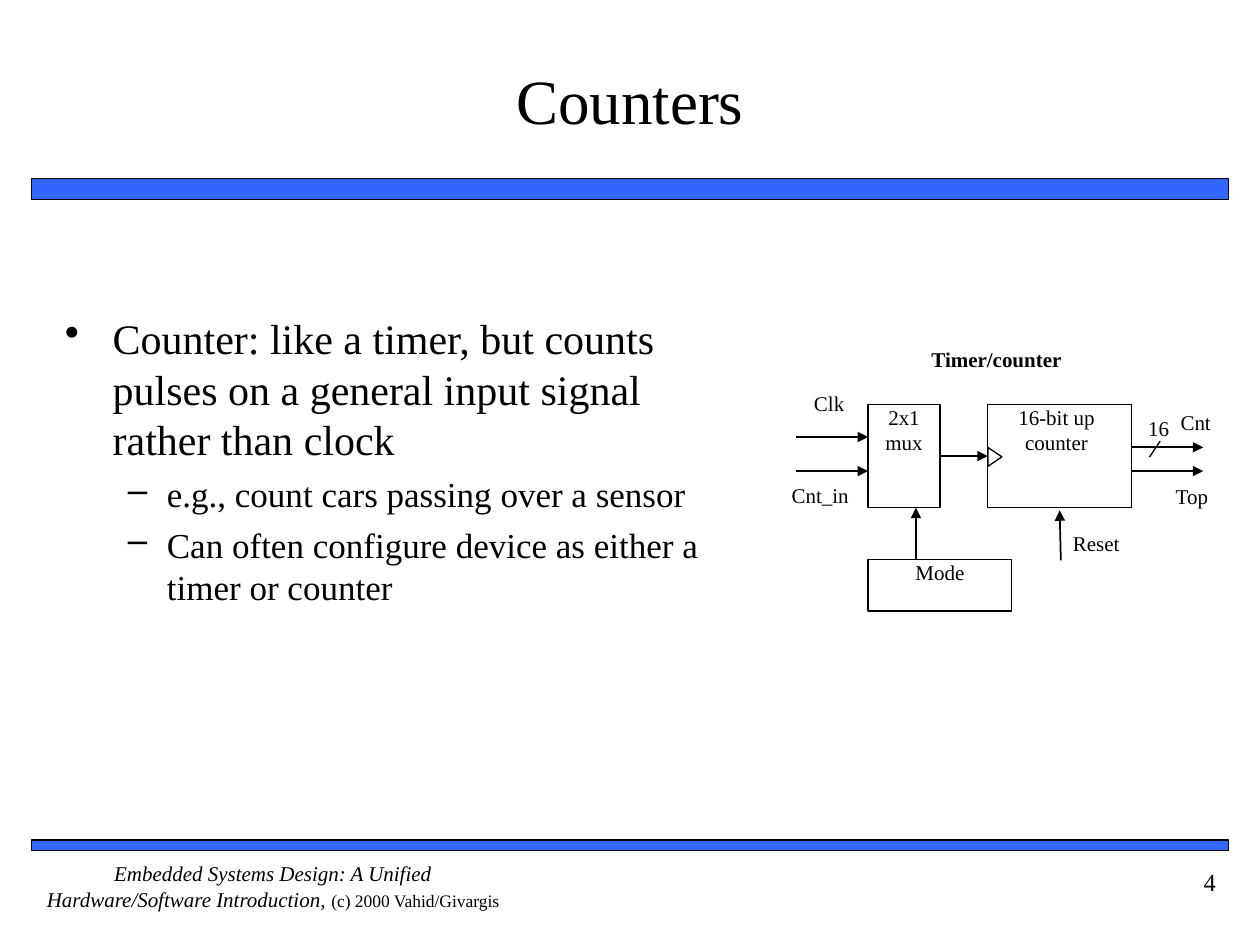
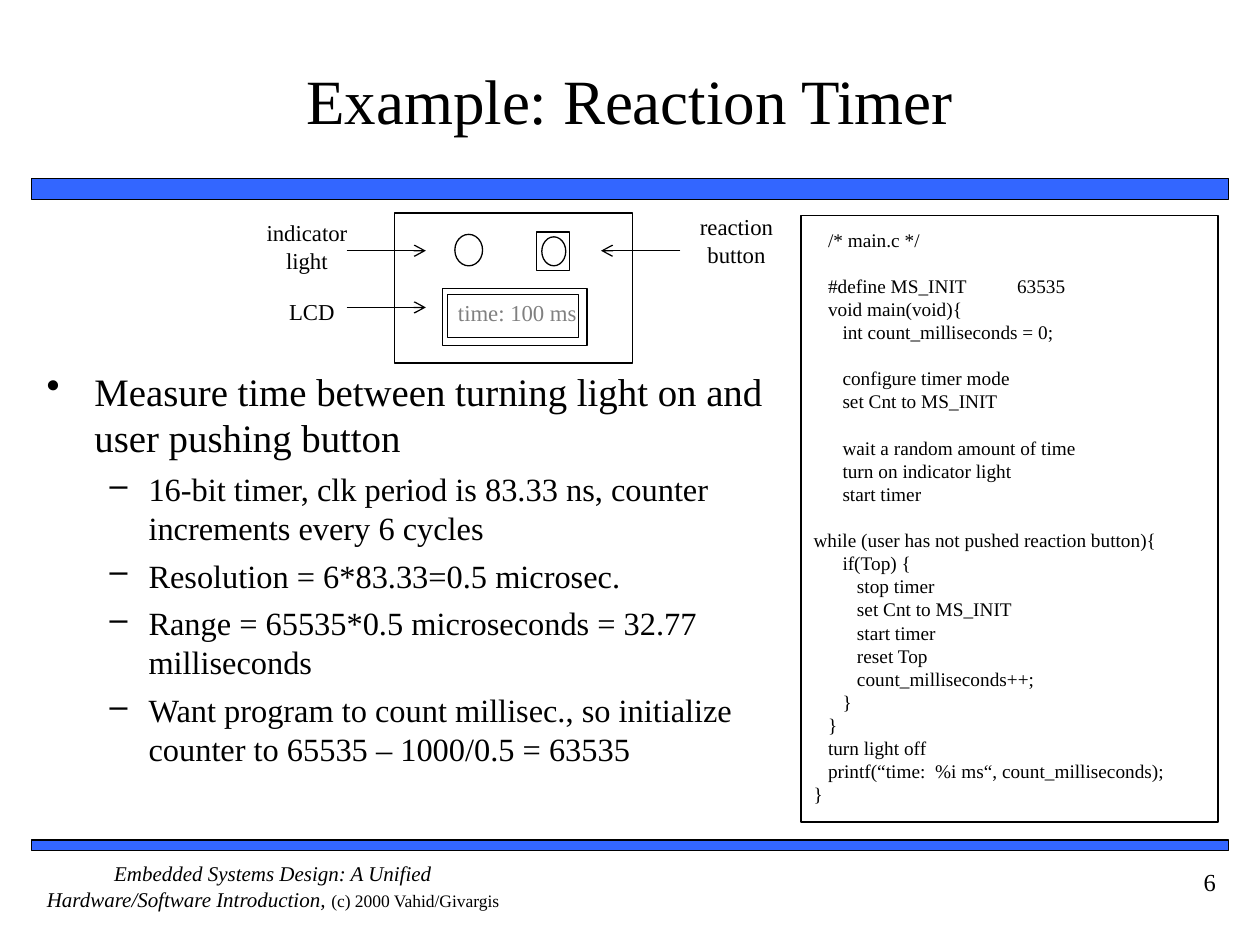
from dataclasses import dataclass

from lxml.etree import SubElement
from pptx import Presentation
from pptx.dml.color import RGBColor
from pptx.enum.shapes import MSO_CONNECTOR, MSO_SHAPE
from pptx.enum.text import MSO_ANCHOR, MSO_AUTO_SIZE, PP_ALIGN
from pptx.oxml.ns import qn
from pptx.util import Inches, Pt


@dataclass(frozen=True)
class Theme:
    font: str = "Times New Roman"
    ink: RGBColor = RGBColor(0, 0, 0)
    band: RGBColor = RGBColor(0x33, 0x66, 0xFF)
    display: RGBColor = RGBColor(0x80, 0x80, 0x80)
    title: float = 36
    number: float = 14
    label: float = 12
    device: float = 13
    credit: float = 10
    code: float = 11
    code_line: float = 13.2
    thin: float = 0.74
    line: float = 0.99


@dataclass(frozen=True)
class Grid:
    left: float
    top: float
    column: float
    row: float

    def point(self, x, y):
        return Inches(self.left + x * self.column), Inches(self.top + y * self.row)

    def area(self, x, y, columns, rows):
        return *self.point(x, y), Inches(columns * self.column), Inches(rows * self.row)


THEME = Theme()
PAGE = Grid(0, 0, 1 / 12, 1 / 12)
COUNTER = Grid(6.32, 3.21, 0.19, 0.41)
DEVICE = Grid(3.13, 1.69, 0.1, 0.1)

CODE = [
    (1, 0, "/* main.c */"),
    (1, 1, "#define MS_INIT\t63535"),
    (1, 0, "void main(void){"),
    (2, 0, "int count_milliseconds = 0;"),
    (2, 1, "configure timer mode"),
    (2, 0, "set Cnt to MS_INIT"),
    (2, 1, "wait a random amount of time"),
    (2, 0, "turn on indicator light"),
    (2, 0, "start timer"),
    (0, 1, "while (user has not pushed reaction button){"),
    (2, 0, "if(Top) {"),
    (3, 0, "stop timer"),
    (3, 0, "set Cnt to MS_INIT"),
    (3, 0, "start timer"),
    (3, 0, "reset Top"),
    (3, 0, "count_milliseconds++;"),
    (2, 0, "}"),
    (1, 0, "}"),
    (1, 0, "turn light off"),
    (1, 0, "printf(“time:  %i ms“, count_milliseconds);"),
    (0, 0, "}"),
]


def style(paragraph, size, color=THEME.ink, align=PP_ALIGN.LEFT, bold=False):
    font = paragraph.font
    font.name, font.size, font.bold = THEME.font, Pt(size), bold
    font.color.rgb = color
    paragraph.alignment = align


def prepare(frame, margins=(0, 0, 0, 0), anchor=MSO_ANCHOR.TOP):
    frame.word_wrap = True
    frame.auto_size = MSO_AUTO_SIZE.NONE
    frame.vertical_anchor = anchor
    (frame.margin_left, frame.margin_top,
     frame.margin_right, frame.margin_bottom) = map(Inches, margins)
    return frame.paragraphs[0]


def indent(paragraph, margin, first=0):
    properties = paragraph._p.get_or_add_pPr()
    properties.set("marL", str(Inches(margin)))
    properties.set("indent", str(Inches(first)))
    return properties


def add_label(shapes, area, text, size, color=THEME.ink, align=PP_ALIGN.CENTER,
              bold=False, margins=(0, 0, 0, 0)):
    box = shapes.add_textbox(*area)
    para = prepare(box.text_frame, margins)
    para.text = text
    style(para, size, color, align, bold)


def add_outline(shapes, kind, area, text="", fill=None, weight=THEME.thin,
                margins=(0, 0, 0, 0)):
    shape = shapes.add_shape(kind, *area)
    shape.shadow.inherit = False
    if fill is None:
        shape.fill.background()
    else:
        shape.fill.solid()
        shape.fill.fore_color.rgb = fill
    shape.line.color.rgb = THEME.ink
    shape.line.width = Pt(weight)
    para = prepare(shape.text_frame, margins)
    if text:
        para.text = text
        style(para, THEME.label, align=PP_ALIGN.CENTER)
    return shape


def add_line(shapes, start, end, head=None, weight=THEME.line):
    line = shapes.add_connector(MSO_CONNECTOR.STRAIGHT, *start, *end)
    line.line.color.rgb = THEME.ink
    line.line.width = Pt(weight)
    if head:
        SubElement(line.line._get_or_add_ln(), qn("a:tailEnd"), type=head)
    SubElement(line.element.spPr, qn("a:effectLst"))


def add_bullets(page, area, size, lines):
    box = page.shapes.add_textbox(*area)
    frame = box.text_frame
    para = prepare(frame, (0.1, 0.05, 0.1, 0.05))
    for level, text in enumerate(lines):
        first = level == 0
        para = para if first else frame.add_paragraph()
        para.text = text
        para.level = 0 if first else 1
        para.space_before = Pt(6 if first else 5)
        style(para, size if first else size * 5 / 6)
        properties = indent(para, *((0.38, -0.38) if first else (0.81, -0.31)))
        SubElement(properties, qn("a:buChar"), char="•" if first else "–")


def add_code(page, area):
    box = add_outline(page.shapes, MSO_SHAPE.RECTANGLE, area)
    frame = box.text_frame
    para = prepare(frame, (0.1, 0.1, 0.1, 0.1))
    for number, (depth, blank_lines, text) in enumerate(CODE):
        para = para if number == 0 else frame.add_paragraph()
        para.text = text
        para.space_before = Pt(blank_lines * THEME.code_line)
        style(para, THEME.code)
        properties = indent(para, depth * 0.115)
        if "\t" in text:
            stops = SubElement(properties, qn("a:tabLst"))
            SubElement(stops, qn("a:tab"), pos=str(Inches(1.48)), algn="l")


def add_footer(shapes):
    box = shapes.add_textbox(*PAGE.area(3, 82, 46, 6))
    para = prepare(box.text_frame)
    style(para, THEME.label, align=PP_ALIGN.CENTER)
    book = para.add_run()
    book.text = "Embedded Systems Design: A Unified Hardware/Software Introduction, "
    book.font.italic = True
    span = para.add_run()
    span.text = "(c) 2000 Vahid/Givargis"
    span.font.size = Pt(THEME.credit)
    return box


def furnish_layout(layout, page):
    bands = [add_outline(page.shapes, MSO_SHAPE.RECTANGLE, PAGE.area(3, top, 114, rows),
                         fill=THEME.band, weight=THEME.line)
             for top, rows in ((17, 2), (80, 1))]
    for number, shape in enumerate([*bands, add_footer(page.shapes)], 101):
        shape.element.xpath("./p:nvSpPr/p:cNvPr")[0].set("id", str(number))
        layout.shapes.element.append(shape.element)


def add_page(deck, layout, title, number):
    page = deck.slides.add_slide(layout)
    holder = page.shapes.title
    holder.left, holder.top, holder.width, holder.height = PAGE.area(5, 2, 110, 15)
    para = prepare(holder.text_frame, (0, 0.05, 0, 0.05), MSO_ANCHOR.MIDDLE)
    para.text = title
    style(para, THEME.title, align=PP_ALIGN.CENTER)
    add_label(page.shapes, PAGE.area(105, 82, 12, 6), number, THEME.number,
              align=PP_ALIGN.RIGHT, margins=(0.1, 0.05, 0.1, 0.05))
    return page


def draw_counter(page):
    shapes = page.shapes.add_group_shape().shapes
    for area, text, margins in (
        ((8, 0, 6, 2), "16-bit up counter", (0, 0, 0.05, 0)),
        ((3, 0, 3, 2), "2x1 mux", (0, 0, 0, 0)),
        ((3, 3, 6, 1), "Mode", (0, 0, 0, 0)),
    ):
        add_outline(shapes, MSO_SHAPE.RECTANGLE, COUNTER.area(*area), text, margins=margins)
    for start, end in (
        ((0, 0.63), (3, 0.63)), ((0, 1.29), (3, 1.29)), ((6, 1), (8, 1)),
        ((14, 0.83), (17, 0.83)), ((14, 1.29), (17, 1.29)),
        ((5, 3), (5, 2)), ((11.05, 3.02), (11, 2.05)),
    ):
        add_line(shapes, COUNTER.point(*start), COUNTER.point(*end), "triangle")
    add_line(shapes, COUNTER.point(15.2, 0.71), COUNTER.point(14.75, 1.02),
             weight=THEME.thin)
    clock = add_outline(shapes, MSO_SHAPE.ISOSCELES_TRIANGLE,
                        COUNTER.area(7.9, 0.88, 0.79, 0.27))
    clock.rotation = 90
    add_label(shapes, COUNTER.area(4.05, -1.12, 8.63, 0.66), "Timer/counter",
              THEME.label, bold=True)
    for area, text in (((-0.25, -0.27, 3.25, 0.68), "Clk"),
                       ((-1, 1.51, 4, 0.75), "Cnt_in")):
        add_label(shapes, COUNTER.area(*area), text, THEME.label)
    for area, text, margins in (
        ((14.7, 0.22, 1.3, 0.75), "16", (0, 0, 0, 0)),
        ((16.05, 0.1, 2.3, 0.73), "Cnt", (0, 0, 0, 0)),
        ((15.85, 1.46, 2.3, 0.75), "Top", (0, 0.03, 0, 0)),
        ((11.4, 2.44, 4, 0.63), "Reset", (0.03, 0, 0, 0)),
    ):
        add_label(shapes, COUNTER.area(*area), text, THEME.label,
                  align=PP_ALIGN.LEFT, margins=margins)


def draw_reaction_device(page):
    shapes = page.shapes.add_group_shape().shapes
    for kind, area in (
        (MSO_SHAPE.RECTANGLE, (0, 0, 18.9, 11.9)),
        (MSO_SHAPE.OVAL, (4.8, 1.7, 2.2, 2.5)),
        (MSO_SHAPE.RECTANGLE, (11.3, 1.5, 2.6, 3.1)),
        (MSO_SHAPE.OVAL, (11.7, 1.9, 1.9, 2.3)),
        (MSO_SHAPE.RECTANGLE, (3.8, 6, 11.5, 4.5)),
        (MSO_SHAPE.RECTANGLE, (4.2, 6.5, 10.4, 3.4)),
    ):
        add_outline(shapes, kind, DEVICE.area(*area))
    for area, text, color in (
        ((-10.5, 0.5, 7.1, 4.7), "indicator light", THEME.ink),
        ((24, 0, 6.3, 4.5), "reaction button", THEME.ink),
        ((-8.4, 6.7, 3.7, 2.5), "LCD", THEME.ink),
        ((4.6, 6.8, 10.3, 2.8), "time: 100 ms", THEME.display),
    ):
        add_label(shapes, DEVICE.area(*area), text, THEME.device, color)
    for start, end, y in ((-3.8, 2.5, 7.5), (-3.8, 2.5, 3), (22.7, 16.4, 3)):
        add_line(shapes, DEVICE.point(start, y), DEVICE.point(end, y), "arrow", THEME.thin)


def main():
    deck = Presentation()
    deck.slide_width, deck.slide_height = Inches(10), Inches(7.5)
    layout = deck.slide_layouts.get_by_name("Title Only")

    counters = add_page(deck, layout, "Counters", "4")
    furnish_layout(layout, counters)
    add_bullets(counters, PAGE.area(5, 29.2, 67, 46.3), 24, [
        "Counter: like a timer, but counts pulses on a general input signal rather than clock",
        "e.g., count cars passing over a sensor",
        "Can often configure device as either a timer or counter",
    ])
    draw_counter(counters)

    reaction = add_page(deck, layout, "Example: Reaction Timer", "6")
    draw_reaction_device(reaction)
    add_code(reaction, PAGE.area(76.3, 20.5, 39.7, 57.8))
    add_bullets(reaction, PAGE.area(3.25, 34.4, 71.9, 39.6), 22.2, [
        "Measure time between turning light on and user pushing button",
        "16-bit timer, clk period is 83.33 ns, counter increments every 6 cycles",
        "Resolution = 6*83.33=0.5 microsec.",
        "Range = 65535*0.5 microseconds = 32.77 milliseconds",
        "Want program to count millisec., so initialize counter to 65535 – 1000/0.5 = 63535",
    ])
    deck.save("out.pptx")


main()
